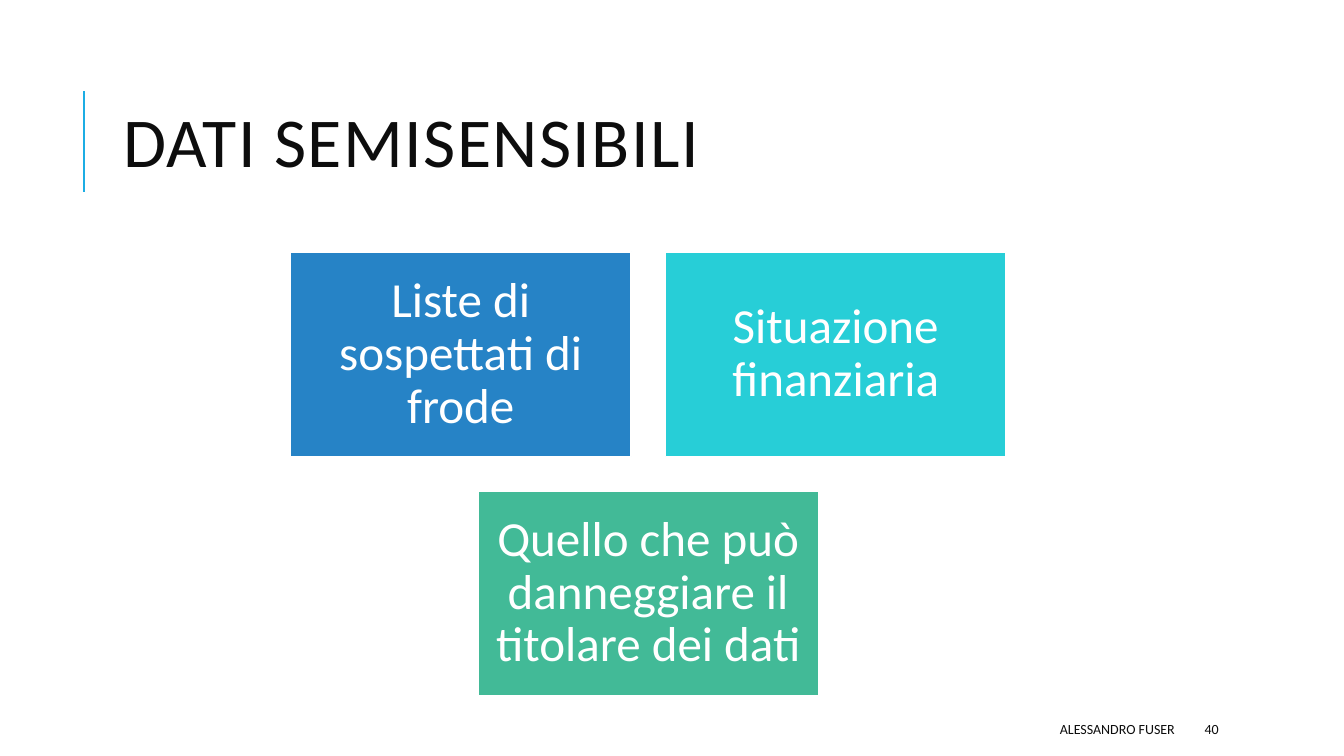
from pptx import Presentation
from pptx import util as u
from pptx.dml.color import RGBColor
from pptx.enum import shapes, text
from pptx.oxml.ns import qn
from lxml import etree

WIDE, HIGH = 13.33, 7.5
INK = RGBColor(0x0D, 0x0D, 0x0D)
WHITE = RGBColor(0xFF, 0xFF, 0xFF)
SKY = RGBColor(0x1C, 0xAD, 0xE4)
BLUE = RGBColor(0x26, 0x83, 0xC6)
CYAN = RGBColor(0x27, 0xCE, 0xD7)
GREEN = RGBColor(0x42, 0xBA, 0x97)
FONT = "Calibri"

# Card grid: origin, card size and gap; columns may be fractional
LEFT, TOP, CARD_W, CARD_H, GAP = 2.88, 2.5, 3.38, 2.03, 0.34
CARDS = [
    ("Liste di sospettati di frode", BLUE, 0, 0),
    ("Situazione finanziaria", CYAN, 1, 0),
    ("Quello che può danneggiare il titolare dei dati", GREEN, 0.5, 1),
]


def write(shape, words, size, color=INK, align=text.PP_ALIGN.LEFT,
          lines=1.0, inset=None, track=0):
    frame = shape.text_frame
    frame.word_wrap = True
    frame.auto_size = text.MSO_AUTO_SIZE.NONE
    frame.vertical_anchor = text.MSO_ANCHOR.MIDDLE
    if inset is not None:
        frame.margin_left = frame.margin_right = u.Inches(inset)
        frame.margin_top = frame.margin_bottom = u.Inches(inset)
    para = frame.paragraphs[0]
    para.alignment = align
    para.line_spacing = lines
    run = para.add_run()
    run.text = words
    run.font.name = FONT
    run.font.size = u.Pt(size)
    run.font.color.rgb = color
    if track:
        run._r.get_or_add_rPr().set("spc", str(track * 100))


def add_title(slide, words):
    title = slide.shapes.title
    title.left, title.top = u.Inches(1.12), u.Inches(0.64)
    title.width, title.height = u.Inches(10.63), u.Inches(1.64)
    write(title, words, 50, lines=0.8, track=1)


def add_rule(slide):
    x = u.Inches(0.83)
    rule = slide.shapes.add_connector(
        shapes.MSO_CONNECTOR.STRAIGHT, x, u.Inches(1.9), x, u.Inches(0.9))
    rule.line.color.rgb = SKY
    rule.line.width = u.Pt(1.5)
    etree.SubElement(rule._element.spPr, qn("a:effectLst"))


def add_card(slide, words, fill, col, row):
    card = slide.shapes.add_shape(
        shapes.MSO_SHAPE.RECTANGLE,
        u.Inches(LEFT + col * (CARD_W + GAP)),
        u.Inches(TOP + row * (CARD_H + GAP)),
        u.Inches(CARD_W), u.Inches(CARD_H))
    card.shadow.inherit = False
    card.fill.solid()
    card.fill.fore_color.rgb = fill
    card.line.color.rgb = WHITE
    card.line.width = u.Pt(1.25)
    write(card, words, 35, color=WHITE, align=text.PP_ALIGN.CENTER,
          lines=0.9, inset=0.15)


def add_foot(slide, words, left, width, align):
    box = slide.shapes.add_textbox(
        u.Inches(left), u.Inches(7.08), u.Inches(width), u.Inches(0.3))
    write(box, words, 10, align=align)


def main():
    deck = Presentation()
    deck.slide_width, deck.slide_height = u.Inches(WIDE), u.Inches(HIGH)
    slide = deck.slides.add_slide(deck.slide_layouts.get_by_name("Title Only"))
    add_rule(slide)
    add_title(slide, "DATI SEMISENSIBILI")
    for card in CARDS:
        add_card(slide, *card)
    add_foot(slide, "ALESSANDRO FUSER", 5.3, 6.45, text.PP_ALIGN.RIGHT)
    add_foot(slide, "40", 11.85, 1.06, text.PP_ALIGN.LEFT)
    deck.save("out.pptx")


if __name__ == "__main__":
    main()
